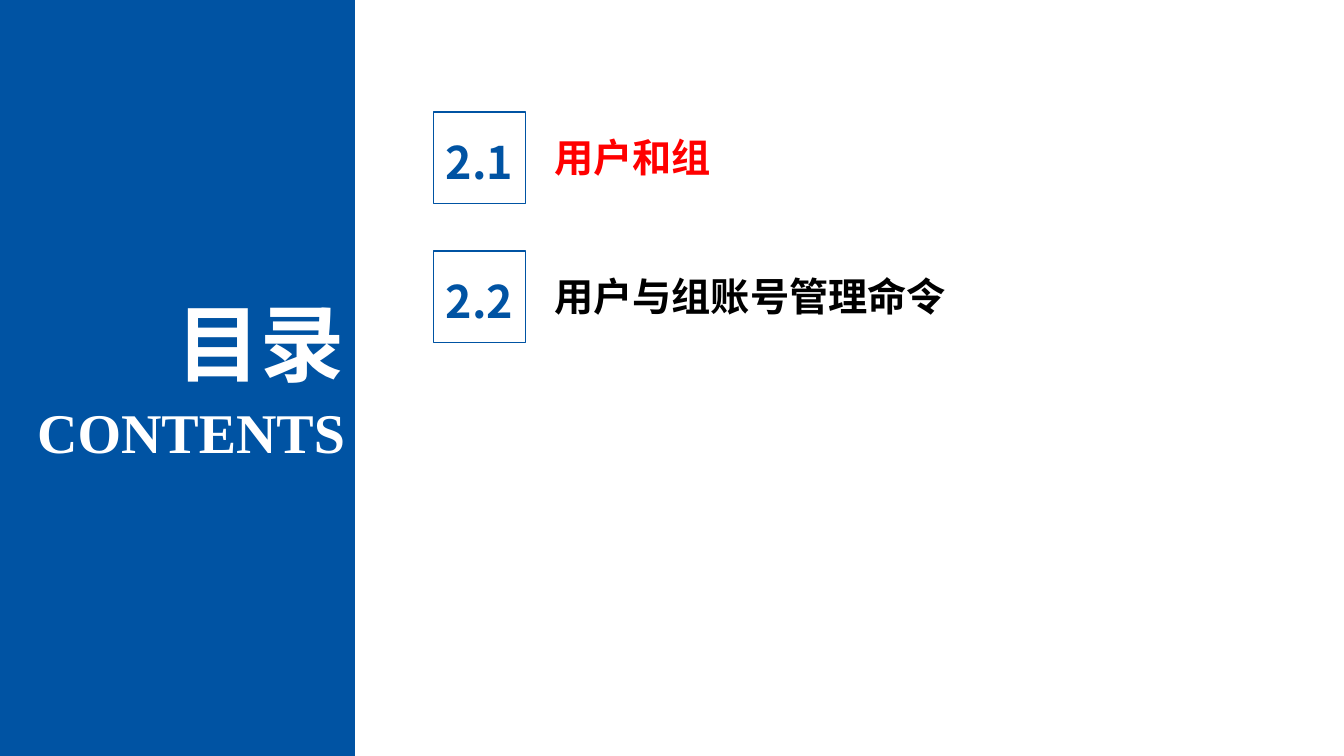
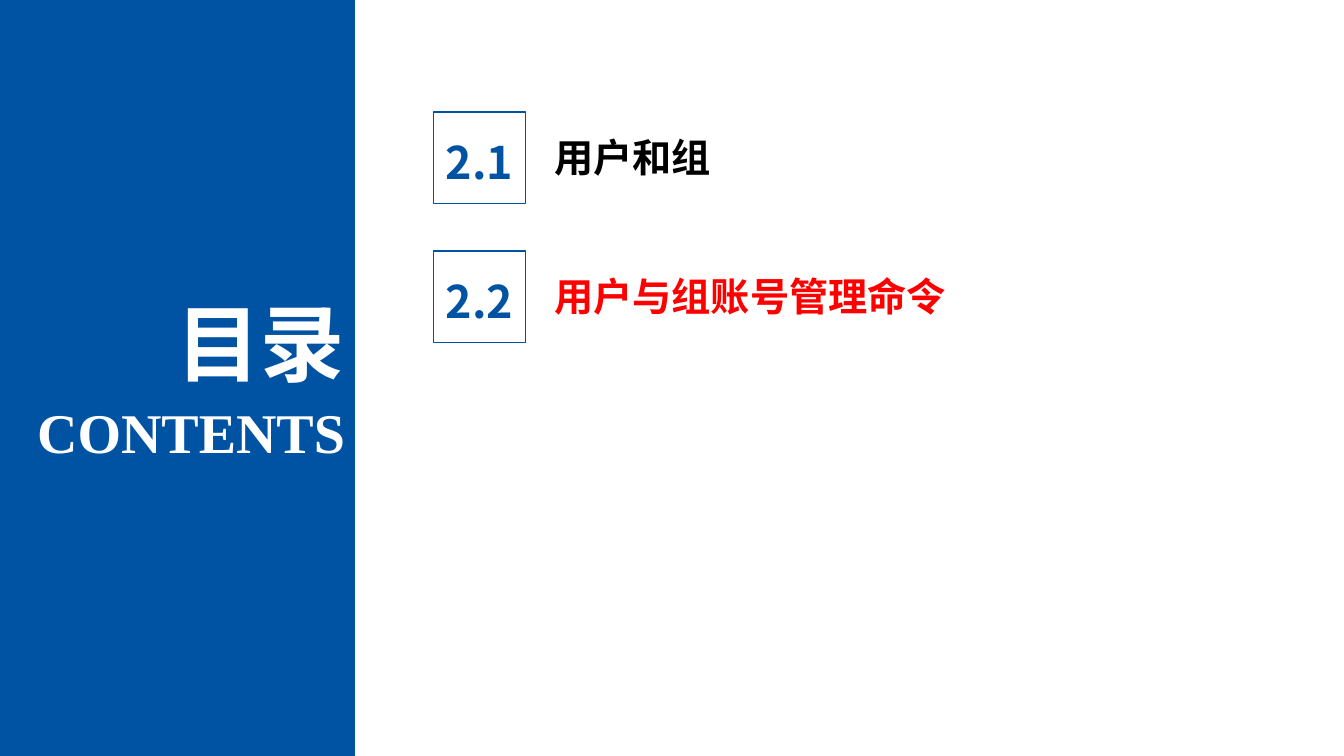
from dataclasses import dataclass

from lxml.etree import SubElement
from pptx import Presentation
from pptx.dml.color import RGBColor
from pptx.enum.shapes import MSO_SHAPE
from pptx.enum.text import MSO_ANCHOR, MSO_AUTO_SIZE, PP_ALIGN
from pptx.oxml.ns import qn
from pptx.util import Inches, Pt


@dataclass(frozen=True)
class Theme:
    blue: str = "0053A3"
    white: str = "FFFFFF"
    black: str = "000000"
    red: str = "FF0000"
    sans: str = "Noto Sans CJK SC"
    serif: str = "Times New Roman"
    title_size: int = 60
    subtitle_size: int = 40
    number_size: int = 32
    topic_size: int = 28


THEME = Theme()
SLIDE_WIDTH, SLIDE_HEIGHT = 13.33, 7.5
BAND_WIDTH = 3.52
NUMBER_LEFT, TOPIC_LEFT, TOPIC_WIDTH = 4.3, 5.4, 5.93
SQUARE = 0.91
FIRST_ROW, ROW_STEP = 1.11, 1.38
TOPICS = [("2.1", "用户和组"), ("2.2", "用户与组账号管理命令")]


def place(box, left, top, width, height):
    box.left, box.top = Inches(left), Inches(top)
    box.width, box.height = Inches(width), Inches(height)


def write(box, text, size, color, font=THEME.sans, align=PP_ALIGN.LEFT):
    frame = box.text_frame
    frame.word_wrap = True
    frame.auto_size = MSO_AUTO_SIZE.SHAPE_TO_FIT_TEXT
    frame.vertical_anchor = MSO_ANCHOR.MIDDLE
    para = frame.paragraphs[0]
    para.alignment = align
    span = para.add_run()
    span.text = text
    span.font.size = Pt(size)
    span.font.bold = True
    span.font.name = font
    span.font.color.rgb = RGBColor.from_string(color)
    SubElement(span.font._element, qn("a:ea")).set("typeface", font)


def add_text(shapes, area, *content, **style):
    box = shapes.add_textbox(*map(Inches, area))
    write(box, *content, **style)


def add_rectangle(shapes, area, fill=None, line=None):
    box = shapes.add_shape(MSO_SHAPE.RECTANGLE, *map(Inches, area))
    box.shadow.inherit = False
    if fill:
        box.fill.solid()
        box.fill.fore_color.rgb = RGBColor.from_string(fill)
    else:
        box.fill.background()
    if line:
        box.line.color.rgb = RGBColor.from_string(line)
        box.line.width = Pt(1)
    else:
        box.line.fill.background()
    return box


def add_contents_band(page):
    band = add_rectangle(page.shapes, (0, 0, BAND_WIDTH, SLIDE_HEIGHT), fill=THEME.blue)
    title = page.shapes.title
    title.element.addprevious(band.element)
    place(title, 0.98, 2.84, BAND_WIDTH - 0.98, 1.11)
    write(title, "目录", THEME.title_size, THEME.white, align=PP_ALIGN.RIGHT)
    add_text(page.shapes, (0, 3.89, BAND_WIDTH, 0.77), "CONTENTS", THEME.subtitle_size,
             THEME.white, font=THEME.serif, align=PP_ALIGN.RIGHT)


def add_topic(page, row, number, topic, color):
    top = FIRST_ROW + row * ROW_STEP
    shapes = page.shapes.add_group_shape().shapes
    add_text(shapes, (TOPIC_LEFT, top + 0.16, TOPIC_WIDTH, 0.57), topic,
             THEME.topic_size, color)
    add_text(shapes, (NUMBER_LEFT, top + 0.17, SQUARE, 0.64), number,
             THEME.number_size, THEME.blue, align=PP_ALIGN.CENTER)
    add_rectangle(shapes, (NUMBER_LEFT, top, SQUARE, SQUARE), line=THEME.blue)


def add_contents_page(deck, current):
    page = deck.slides.add_slide(deck.slide_layouts.get_by_name("Title Only"))
    add_contents_band(page)
    for row, (number, topic) in enumerate(TOPICS):
        color = THEME.red if row == current else THEME.black
        add_topic(page, row, number, topic, color)


def main():
    deck = Presentation()
    deck.slide_width, deck.slide_height = Inches(SLIDE_WIDTH), Inches(SLIDE_HEIGHT)
    for current in range(len(TOPICS)):
        add_contents_page(deck, current)
    deck.save("out.pptx")


if __name__ == "__main__":
    main()
